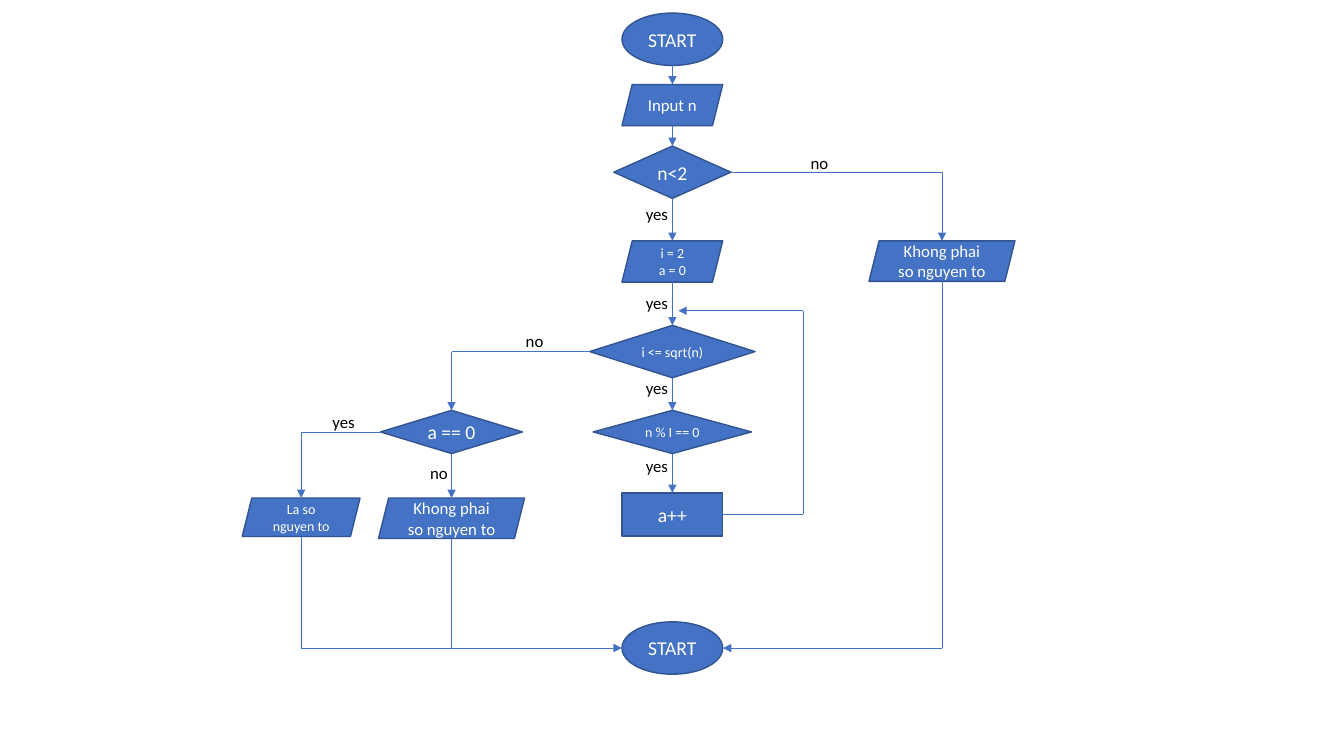
import itertools

import pptx
import pptx.dml.color
import pptx.enum.shapes
import pptx.enum.text
import pptx.oxml
import pptx.oxml.ns
import pptx.util

Cm = pptx.util.Cm
SHAPE = pptx.enum.shapes.MSO_SHAPE
FONT = "Calibri"
COLORS = {"fill": "4472C4", "outline": "325491", "light": "FFFFFF", "dark": "000000"}
TERMINAL_W, TERMINAL_H = 2.54, 1.32
OUTPUT_W, OUTPUT_H = 3.68, 1.02


def rgb(name):
    return pptx.dml.color.RGBColor.from_string(COLORS[name])


def write(tf, lines, size, color, align):
    for i, line in enumerate(lines):
        p = tf.paragraphs[0] if i == 0 else tf.add_paragraph()
        p.alignment = align
        r = p.add_run()
        r.text = line
        r.font.name = FONT
        r.font.size = pptx.util.Pt(size)
        r.font.color.rgb = rgb(color)


def add_node(s, kind, lines, size, cx, top, w, h):
    sp = s.shapes.add_shape(kind, Cm(cx - w / 2), Cm(top), Cm(w), Cm(h))
    sp.shadow.inherit = False
    sp.fill.solid()
    sp.fill.fore_color.rgb = rgb("fill")
    sp.line.color.rgb = rgb("outline")
    sp.line.width = pptx.util.Pt(1)
    sp.text_frame.vertical_anchor = pptx.enum.text.MSO_ANCHOR.MIDDLE
    write(sp.text_frame, lines, size, "light", pptx.enum.text.PP_ALIGN.CENTER)


def add_label(s, text, left, top):
    sp = s.shapes.add_textbox(Cm(left), Cm(top), Cm(1.09 if text == "yes" else 0.97), Cm(0.77))
    tf = sp.text_frame
    tf.word_wrap = False
    tf.auto_size = pptx.enum.text.MSO_AUTO_SIZE.SHAPE_TO_FIT_TEXT
    write(tf, [text], 12, "dark", pptx.enum.text.PP_ALIGN.LEFT)


def add_route(s, *points, arrow=True):
    for start, end in itertools.pairwise(points):
        line = s.shapes.add_connector(
            pptx.enum.shapes.MSO_CONNECTOR.STRAIGHT, *(Cm(v) for v in start + end))
        line.line.color.rgb = rgb("fill")
        line.line.width = pptx.util.Pt(0.5)
        props = line._element.spPr
        if arrow and end == points[-1]:
            tail = pptx.oxml.parse_xml(
                f'<a:tailEnd {pptx.oxml.ns.nsdecls("a")} type="triangle"/>')
            line.line._get_or_add_ln().append(tail)
        props.append(pptx.oxml.parse_xml(f'<a:effectLst {pptx.oxml.ns.nsdecls("a")}/>'))


def add_main_column(s, left, top, w, h):
    cx = left + w / 2
    steps = [
        (SHAPE.OVAL, ["START"], 14, 0, TERMINAL_W, TERMINAL_H),
        (SHAPE.PARALLELOGRAM, ["Input n"], 12, 1.8, 2.54, 1.04),
        (SHAPE.DIAMOND, ["n<2"], 14, 3.35, 2.95, 1.32),
        (SHAPE.PARALLELOGRAM, ["i = 2", "a = 0"], 10, 5.74, 2.54, 1.04),
        (SHAPE.DIAMOND, ["i <= sqrt(n)"], 10, 7.87, 4.17, 1.32),
        (SHAPE.DIAMOND, ["n % I == 0"], 10, 10.01, 3.99, 1.09),
        (SHAPE.RECTANGLE, ["a++"], 14, 12.09, 2.54, 1.09),
    ]
    for kind, lines, size, y, sw, sh in steps:
        add_node(s, kind, lines, size, cx, top + y, sw, sh)
    for upper, lower in itertools.pairwise(steps):
        add_route(s, (cx, top + upper[3] + upper[5]), (cx, top + lower[3]))
    for y in (4.67, 6.91, 9.07, 11.02):
        add_label(s, "yes", cx - 0.92, top + y)
    add_node(s, SHAPE.OVAL, ["START"], 14, cx, top + h - TERMINAL_H, TERMINAL_W, TERMINAL_H)
    loop_x, loop_y, back_y = cx + 3.3, top + 12.63, top + 7.5
    add_route(s, (cx + 1.27, loop_y), (loop_x, loop_y), (loop_x, back_y), (cx + 0.15, back_y))


def add_result_branch(s, left, top, w, h):
    right, bottom = left + w, top + h
    prime_x, other_x = left + 1.49, left + 5.28
    test_y, test_w, test_h = top + 1.48, 3.58, 1.09
    test_mid, out_y, prime_h = test_y + test_h / 2, top + 3.69, 0.97
    add_node(s, SHAPE.DIAMOND, ["a == 0"], 14, other_x, test_y, test_w, test_h)
    add_node(s, SHAPE.PARALLELOGRAM, ["La so nguyen to"], 10, prime_x, out_y, 2.97, prime_h)
    add_node(s, SHAPE.PARALLELOGRAM, ["Khong phai so nguyen to"], 12,
             other_x, out_y, OUTPUT_W, OUTPUT_H)
    add_route(s, (right - 0.81, top), (other_x, top), (other_x, test_y))
    add_route(s, (other_x, test_y + test_h), (other_x, out_y))
    add_route(s, (other_x - test_w / 2, test_mid), (prime_x, test_mid), (prime_x, out_y))
    add_route(s, (prime_x, out_y + prime_h), (prime_x, bottom), (right, bottom))
    add_route(s, (other_x, out_y + OUTPUT_H), (other_x, bottom), arrow=False)
    add_label(s, "no", left + 6.9, top - 0.66)
    add_label(s, "no", left + 4.49, top + 2.67)
    add_label(s, "yes", left + 2.03, top + 1.38)


def add_early_exit(s, left, top, w, h):
    cx, out_y = left + w - OUTPUT_W / 2, top + 1.73
    add_node(s, SHAPE.PARALLELOGRAM, ["Khong phai so nguyen to"], 12,
             cx, out_y, OUTPUT_W, OUTPUT_H)
    add_route(s, (left + 0.2, top), (cx, top), (cx, out_y))
    add_route(s, (cx, out_y + OUTPUT_H), (cx, top + h), (left, top + h))
    add_label(s, "no", left + 1.96, top - 0.61)


prs = pptx.Presentation()
prs.slide_width, prs.slide_height = Cm(33.87), Cm(19.05)
s = prs.slides.add_slide(prs.slide_layouts[6])
add_main_column(s, 14.86, 0.33, 4.17, 16.66)
add_result_branch(s, 6.1, 8.86, 9.57, 7.47)
add_early_exit(s, 18.22, 4.34, 7.36, 11.99)
prs.save("out.pptx")
